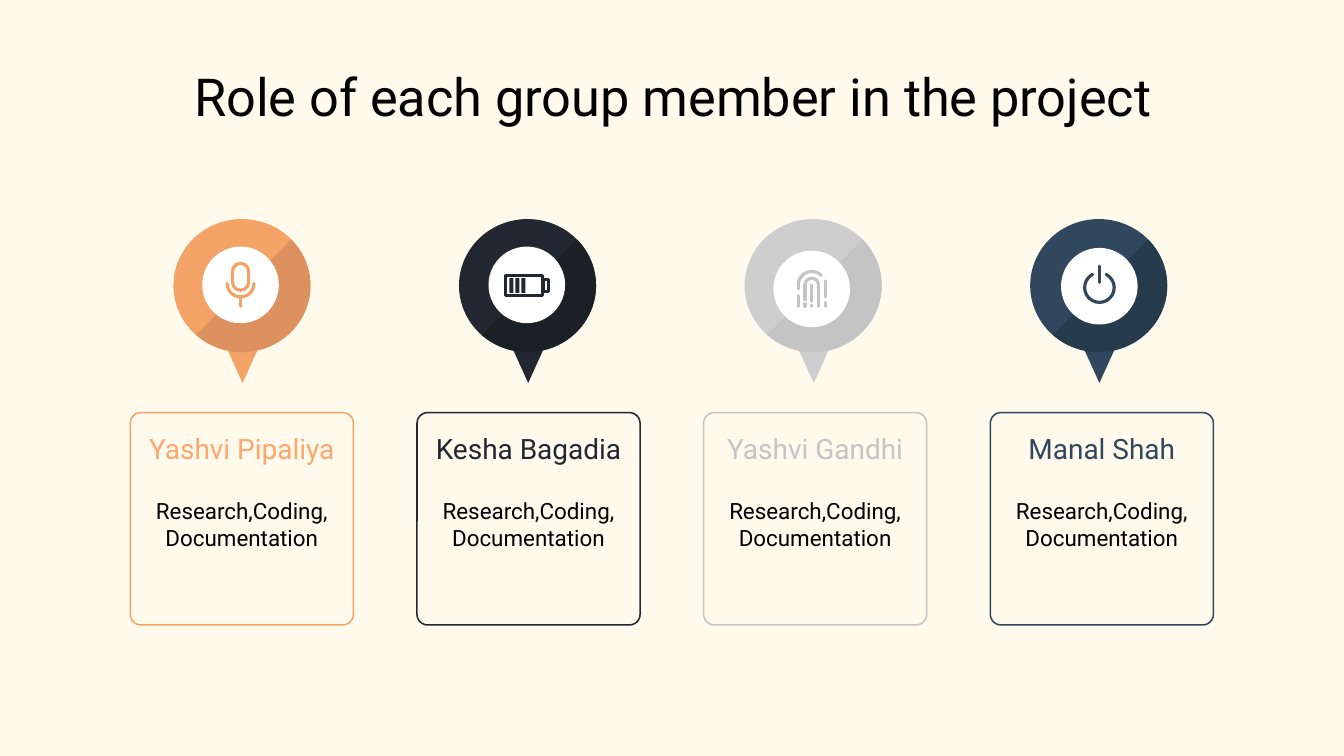
from lxml.etree import SubElement
from pptx import Presentation
from pptx.dml.color import RGBColor
from pptx.enum.shapes import MSO_CONNECTOR, MSO_SHAPE
from pptx.enum.text import MSO_ANCHOR, PP_ALIGN
from pptx.oxml.ns import qn
from pptx.util import Inches, Pt

COLORS = {
    "cream": "FFFAEC", "white": "FFFFFF", "black": "000000",
    "orange": "F2A365", "orange_shade": "DD915E", "orange_name": "FFA66F",
    "ink": "222831", "ink_shade": "1B1F26",
    "gray": "CECECE", "gray_shade": "C4C4C4",
    "blue": "30475E", "blue_shade": "263C4C",
}
FRAME = {"word_wrap": True, "margin_left": Inches(0.1), "margin_right": Inches(0.1),
         "margin_top": Inches(0.1), "margin_bottom": Inches(0.1)}
STROKE = 1.7
CARD_LEFT, CARD_TOP, CARD_W, CARD_H, CARD_STEP = 0.97, 3.07, 1.66, 1.58, 2.133
NAME_H = 0.53
PIN_X, PIN_TOP, PIN_W, PIN_H, PIN_STEP = 1.8, 1.63, 1.02, 0.99, 2.125
DISC = 0.57
TASKS = "Research,Coding, Documentation"


def rgb(name):
    """Return the named colour."""
    return RGBColor.from_string(COLORS[name])


def add_shape(shapes, kind, box, fill=None, line=None, width=STROKE, adj=()):
    """Add a preset shape with an optional fill, outline and adjustments."""
    s = shapes.add_shape(kind, *map(Inches, box))
    s.shadow.inherit = False
    for i, value in enumerate(adj):
        s.adjustments[i] = value
    if fill:
        s.fill.solid()
        s.fill.fore_color.rgb = rgb(fill)
    else:
        s.fill.background()
    if line:
        s.line.color.rgb = rgb(line)
        s.line.width = Pt(width)
    else:
        s.line.fill.background()
    return s


def round_cap(s):
    """Round the ends of a stroke."""
    s._element.spPr.find(qn("a:ln")).set("cap", "rnd")


def add_arc(shapes, x, y, radius, start, end, color):
    """Add a circular stroke running clockwise between two angles in degrees."""
    box = (x - radius, y - radius, 2 * radius, 2 * radius)
    round_cap(add_shape(shapes, MSO_SHAPE.ARC, box, line=color, adj=(start * 0.6, end * 0.6)))


def add_stem(shapes, x, top, bottom, color):
    """Add a vertical stroke."""
    s = shapes.add_connector(MSO_CONNECTOR.STRAIGHT, *map(Inches, (x, top, x, bottom)))
    s.line.color.rgb = rgb(color)
    s.line.width = Pt(STROKE)
    round_cap(s)
    SubElement(s._element.spPr, qn("a:effectLst"))


def add_text(shapes, box, text, size, color, anchor=MSO_ANCHOR.MIDDLE):
    """Add a centred text box."""
    tf = shapes.add_textbox(*map(Inches, box)).text_frame
    for key, value in {**FRAME, "vertical_anchor": anchor}.items():
        setattr(tf, key, value)
    p = tf.paragraphs[0]
    p.alignment = PP_ALIGN.CENTER
    r = p.add_run()
    r.text = text
    for key, value in {"name": "Roboto", "size": Pt(size)}.items():
        setattr(r.font, key, value)
    r.font.color.rgb = rgb(color)


def draw_microphone(shapes, x, y, color):
    """Draw a microphone around a centre."""
    add_shape(shapes, MSO_SHAPE.ROUNDED_RECTANGLE, (x - 0.06, y - 0.16, 0.12, 0.2),
              line=color, adj=(0.5,))
    add_arc(shapes, x, y - 0.01, 0.1, 0, 180, color)
    add_stem(shapes, x, y + 0.09, y + 0.16, color)


def draw_battery(shapes, x, y, color):
    """Draw a battery with three charge bars around a centre."""
    for box in ((x - 0.16, y - 0.07, 0.28, 0.15), (x + 0.12, y - 0.04, 0.04, 0.09)):
        add_shape(shapes, MSO_SHAPE.RECTANGLE, box, line=color)
    for i in range(3):
        add_shape(shapes, MSO_SHAPE.RECTANGLE,
                  (x - 0.13 + 0.045 * i, y - 0.05, 0.03, 0.11), fill=color)


def draw_fingerprint(shapes, x, y, color):
    """Draw a fingerprint around a centre."""
    for radius, end in ((0.1, 315), (0.05, 360)):
        add_arc(shapes, x, y - 0.03, radius, 180, end, color)
    ridges = (
        (-0.1, -0.03, 0), (-0.1, 0.05, 0.13),
        (-0.05, -0.03, 0.08), (-0.05, 0.11, 0.13),
        (0, -0.03, 0.09), (0, 0.12, 0.13),
        (0.05, -0.03, 0.13),
        (0.1, -0.06, 0.06), (0.1, 0.1, 0.13),
    )
    for dx, top, bottom in ridges:
        add_stem(shapes, x + dx, y + top, y + bottom, color)


def draw_power(shapes, x, y, color):
    """Draw a power symbol around a centre."""
    add_arc(shapes, x, y + 0.01, 0.11, 297, 243, color)
    add_stem(shapes, x, y - 0.15, y - 0.03, color)


def add_pin(slide, i, color, shade, icon, icon_color, disc_x, disc_y):
    """Add a grouped map pin with a white disc and an icon."""
    shapes = slide.shapes.add_group_shape().shapes
    x = PIN_X + PIN_STEP * i
    head = (x - PIN_W / 2, PIN_TOP, PIN_W, PIN_H)
    add_shape(shapes, MSO_SHAPE.FLOWCHART_MERGE, (x - 0.14, 2.53, 0.29, 0.32), color)
    add_shape(shapes, MSO_SHAPE.OVAL, head, color)
    add_shape(shapes, MSO_SHAPE.CHORD, head, shade, adj=(317 * 0.6, 133 * 0.6))
    add_shape(shapes, MSO_SHAPE.OVAL,
              (disc_x - DISC / 2, disc_y - DISC / 2, DISC, DISC), "white")
    icon(shapes, disc_x, disc_y, icon_color)


def add_card(slide, i, name, name_color, border):
    """Add an outlined card with a member's name and tasks."""
    x = CARD_LEFT + CARD_STEP * i
    add_shape(slide.shapes, MSO_SHAPE.ROUNDED_RECTANGLE, (x, CARD_TOP, CARD_W, CARD_H),
              line=border, width=0.81, adj=(0.05,))
    add_text(slide.shapes, (x, CARD_TOP, CARD_W, NAME_H), name, 15, name_color)
    add_text(slide.shapes, (x, CARD_TOP + NAME_H, CARD_W, CARD_H - NAME_H),
             TASKS, 12, "black", MSO_ANCHOR.TOP)


def main():
    """Build the slide and save it."""
    prs = Presentation()
    prs.slide_width, prs.slide_height = Inches(10), Inches(5.625)
    slide = prs.slides.add_slide(prs.slide_layouts[6])
    slide.background.fill.solid()
    slide.background.fill.fore_color.rgb = rgb("cream")
    members = (
        ("Yashvi Pipaliya", "orange_name", "orange",
         ("orange", "orange_shade", draw_microphone, "orange", 1.79, 2.12)),
        ("Kesha Bagadia", "ink", "ink",
         ("ink", "ink_shade", draw_battery, "ink", 3.92, 2.12)),
        ("Yashvi Gandhi", "gray_shade", "gray_shade",
         ("gray", "gray_shade", draw_fingerprint, "gray_shade", 6.04, 2.15)),
        ("Manal Shah", "blue", "blue",
         ("blue", "blue_shade", draw_power, "blue", 8.18, 2.13)),
    )
    for i, (name, name_color, border, pin) in enumerate(members):
        add_card(slide, i, name, name_color, border)
        add_pin(slide, i, *pin)
    add_text(slide.shapes, (0.78, 0.45, 8.45, 0.53),
             "Role of each group member in the project", 28, "black")
    prs.save("out.pptx")


if __name__ == "__main__":
    main()
